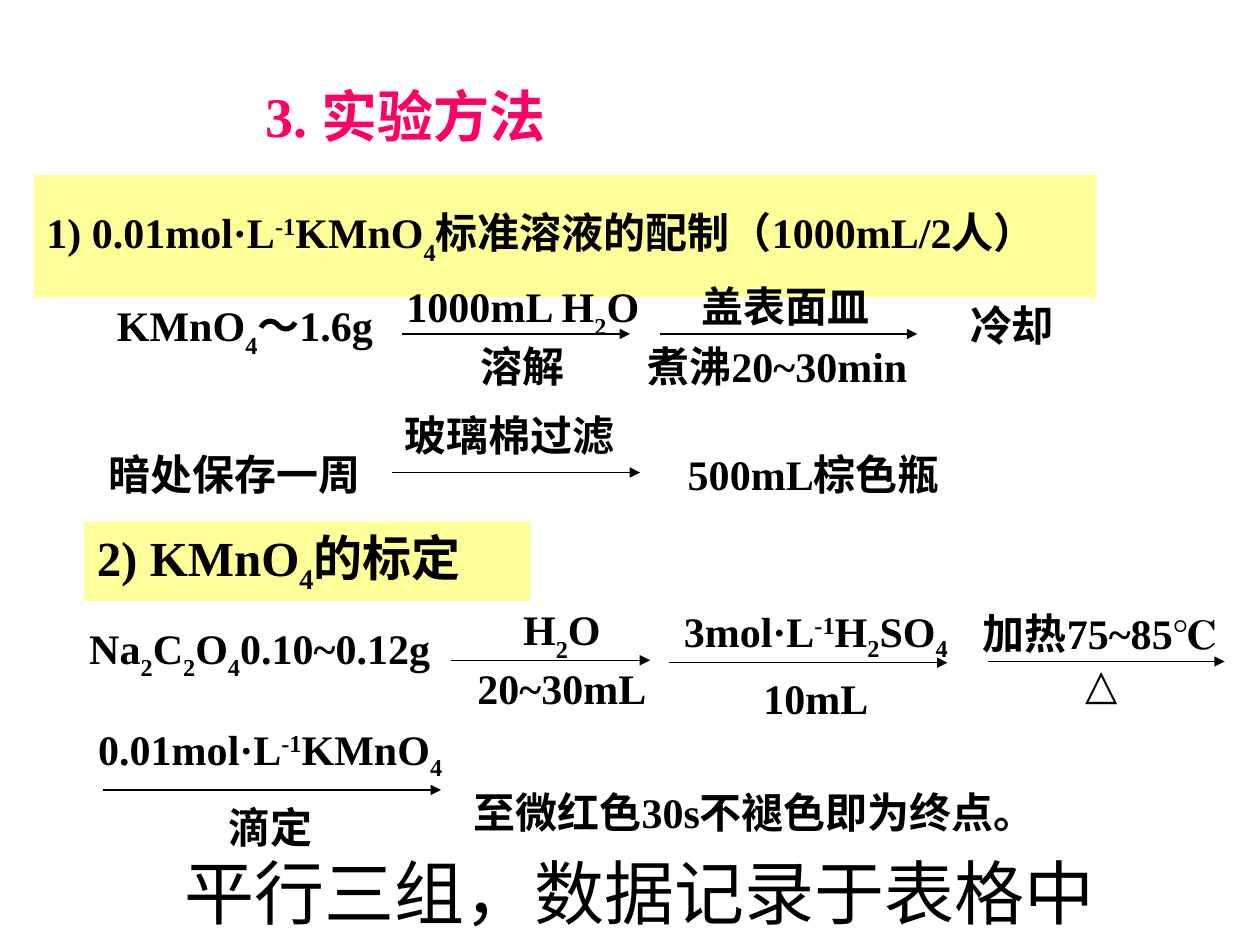
from lxml import etree
from pptx import Presentation
from pptx.dml.color import RGBColor
from pptx.enum.shapes import MSO_CONNECTOR, MSO_SHAPE
from pptx.enum.text import MSO_ANCHOR, MSO_AUTO_SIZE, PP_ALIGN
from pptx.oxml.ns import qn
from pptx.util import Inches, Pt

LEFT, CENTER = PP_ALIGN.LEFT, PP_ALIGN.CENTER
TOP, MIDDLE = MSO_ANCHOR.TOP, MSO_ANCHOR.MIDDLE
GROW = MSO_AUTO_SIZE.SHAPE_TO_FIT_TEXT
RECTANGLE, STRAIGHT = MSO_SHAPE.RECTANGLE, MSO_CONNECTOR.STRAIGHT

COLORS = {"text": "000000", "title": "FF0066", "band": "FFFF99"}
BODY_FONT = {"name": "Times New Roman", "size": Pt(24), "bold": True}

# Spans are parted by "|"; a leading "^" raises a span and "_" lowers it.
# Each entry: place, lines, frame format, options
BANDS = [
    ((0.27, 1.39, 8.43, 0.97),
     ["1) 0.01mol·L|^-1|KMnO|_4|标准溶液的配制（1000mL/2人）"], {"vertical_anchor": MIDDLE}, {}),
    ((0.67, 4.14, 3.54, 0.63), ["2) KMnO|_4|的标定"], {},
     {"font": {"size": Pt(28)}, "lowered": -25}),
]
NO_WRAP = {"word_wrap": False}
MIDDLE_NO_WRAP = {"word_wrap": False, "vertical_anchor": MIDDLE}
LABELS = [
    ((5.47, 2.18, 1.81, 0.5), ["盖表面皿"], {}, {}),
    ((5.04, 2.65, 2.34, 0.5), ["煮沸20~30min"], NO_WRAP, {}),
    ((0.83, 2.33, 2.36, 0.97), ["KMnO|_4|～1.6g"], {}, {}),
    ((3.12, 2.18, 2.06, 0.97), ["1000mL H|_2|O", "溶解"], NO_WRAP, {"align": CENTER}),
    ((3.11, 3.2, 2.2, 0.5), ["玻璃棉过滤"], {}, {}),
    ((7.6, 2.33, 1.18, 0.9), ["冷却"], {}, {}),
    ((0.76, 3.51, 2.2, 0.5), ["暗处保存一周"], NO_WRAP, {}),
    ((5.36, 3.51, 2.28, 0.5), ["500mL棕色瓶"], NO_WRAP, {}),
    ((0.61, 4.89, 2.99, 0.57), ["Na|_2|C|_2|O|_4|0.10~0.12g"], MIDDLE_NO_WRAP, {}),
    ((3.61, 4.74, 1.7, 0.97), ["H|_2|O", "20~30mL"], MIDDLE_NO_WRAP, {"align": CENTER}),
    ((5.31, 4.66, 2.33, 1.13), ["3mol·L|^-1|H|_2|SO|_4", "10mL"], {"vertical_anchor": MIDDLE},
     {"align": CENTER, "spacings": (1.2, 1.2), "lowered": -25}),
    ((7.64, 4.77, 2.2, 0.9), ["加热75~85℃", "△"], MIDDLE_NO_WRAP, {"align": CENTER}),
    ((0.68, 5.69, 2.93, 1.12), ["0.01mol·L|^-1|KMnO|_4", "滴定"], MIDDLE_NO_WRAP,
     {"align": CENTER, "spacings": (1, 1.4), "lowered": -25}),
    ((3.66, 6.03, 5.51, 0.66), ["至微红色30s不褪色即为终点。"], {"vertical_anchor": MIDDLE},
     {"spacings": (1.4,)}),
    ((1.22, 6.69, 7.71, 0.77), ["平行三组，数据记录于表格中"], {},
     {"align": CENTER, "font": {"name": "Arial", "size": Pt(40), "bold": False}}),
]
# Start, end and height of each reaction arrow
ARROWS = [
    (3.19, 5, 2.65), (5.24, 7.28, 2.65), (3.11, 5.08, 3.75),
    (3.58, 5.16, 5.24), (5.31, 7.52, 5.26), (7.84, 9.72, 5.25), (0.82, 3.5, 6.27),
]


def rgb(name):
    return RGBColor.from_string(COLORS[name])


def apply_format(target, values):
    for name, value in values.items():
        setattr(target, name, value)


def add_spans(para, line, font, color, lowered):
    """Write a marked line as normal, raised and lowered spans."""
    baselines = {"^": 30, "_": lowered}
    for part in line.split("|"):
        baseline = baselines.get(part[0])
        span = para.add_run()
        span.text = part[1:] if baseline else part
        apply_format(span.font, font)
        span.font.color.rgb = rgb(color)
        if baseline:
            span._r.get_or_add_rPr().set("baseline", str(baseline * 1000))


def write_text(box, lines, frame_format, align=LEFT, font=None, color="text",
               spacings=(), lowered=-30):
    frame = box.text_frame
    base = {"word_wrap": True, "vertical_anchor": TOP, "auto_size": GROW}
    apply_format(frame, base | frame_format)
    for index, line in enumerate(lines):
        para = frame.paragraphs[0] if index == 0 else frame.add_paragraph()
        para.alignment = align
        if spacings:
            para.line_spacing = float(spacings[index])
        add_spans(para, line, BODY_FONT | (font or {}), color, lowered)


def add_title(page):
    title = page.shapes.title
    places = zip(("left", "top", "width", "height"), (2.01, 0.6, 3.23, 0.64))
    apply_format(title, {name: Inches(value) for name, value in places})
    write_text(title, ["3. 实验方法"], {}, font={"size": Pt(32)}, color="title")


def add_band(page, place, lines, frame_format, options):
    band = page.shapes.add_shape(RECTANGLE, *map(Inches, place))
    band.shadow.inherit = False
    band.fill.solid()
    band.fill.fore_color.rgb = rgb("band")
    band.line.fill.background()
    write_text(band, lines, frame_format, **options)


def add_label(page, place, lines, frame_format, options):
    box = page.shapes.add_textbox(*map(Inches, place))
    write_text(box, lines, frame_format, **options)


def add_arrow(page, start, end, height):
    arrow = page.shapes.add_connector(
        STRAIGHT, Inches(start), Inches(height), Inches(end), Inches(height))
    arrow.line.color.rgb = rgb("text")
    arrow.line.width = Pt(0.75)
    etree.SubElement(arrow.line._get_or_add_ln(), qn("a:tailEnd"), type="triangle")
    etree.SubElement(arrow._element.spPr, qn("a:effectLst"))


def main():
    deck = Presentation()
    deck.slide_width, deck.slide_height = Inches(10), Inches(7.5)
    page = deck.slides.add_slide(deck.slide_layouts[5])
    add_title(page)
    for band in BANDS:
        add_band(page, *band)
    for arrow in ARROWS:
        add_arrow(page, *arrow)
    for label in LABELS:
        add_label(page, *label)
    deck.save("out.pptx")


if __name__ == "__main__":
    main()
